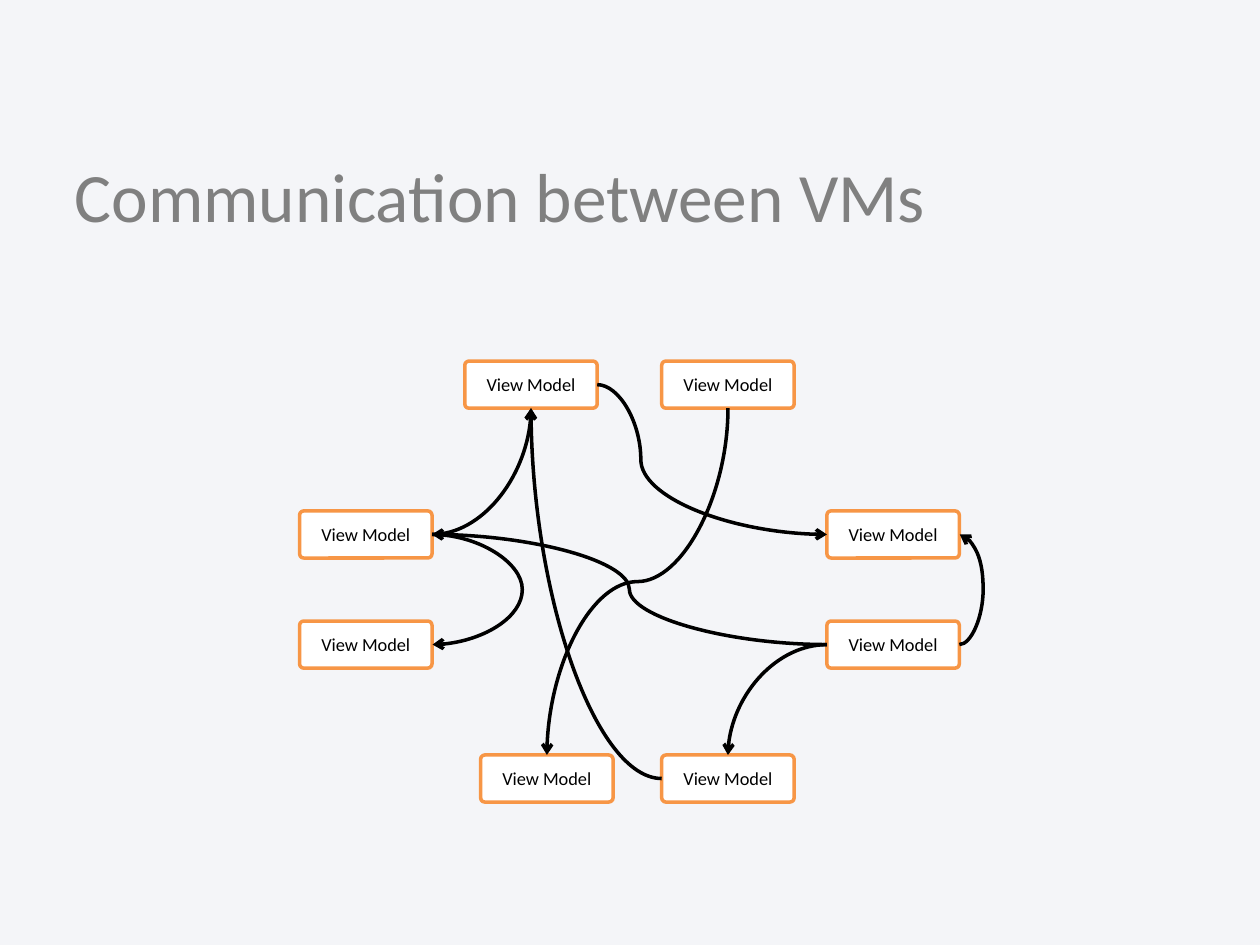
import pptx
import pptx.dml.color
import pptx.enum.shapes
import pptx.enum.text
import pptx.oxml.ns
import pptx.util
from lxml import etree

Cm = pptx.util.Cm
Pt = pptx.util.Pt
PP_ALIGN = pptx.enum.text.PP_ALIGN

TITLE = "Communication between VMs"
LABEL = "View Model"
BOX_W, BOX_H = 2.67, 0.95
BOXES = {
    "left upper": (6.04, 10.3),
    "left lower": (6.04, 12.52),
    "bottom left": (9.69, 15.22),
    "bottom right": (13.34, 15.22),
    "right lower": (16.67, 12.52),
    "right upper": (16.67, 10.3),
    "top left": (9.37, 7.28),
    "top right": (13.34, 7.28),
}
TOP, LEFT, BOTTOM, RIGHT = range(4)
LINKS = [
    ("left upper", RIGHT, "top left", BOTTOM, {"bends": 2}),
    ("left upper", RIGHT, "left lower", RIGHT, {"reach": 1.82}),
    ("top right", BOTTOM, "bottom left", TOP, {"turned": True}),
    ("top left", RIGHT, "right upper", LEFT, {"bend_at": 0.19}),
    ("right lower", LEFT, "bottom right", TOP, {"bends": 2}),
    ("bottom right", LEFT, "top left", BOTTOM, {"bends": 2}),
    ("right lower", RIGHT, "right upper", RIGHT, {"reach": 0.48}),
    ("right lower", LEFT, "left upper", RIGHT, {}),
]


def rgb(code):
    return pptx.dml.color.RGBColor.from_string(code)


def write(tf, text, size, color, align=PP_ALIGN.LEFT, font="Calibri"):
    tf.word_wrap = True
    tf.vertical_anchor = pptx.enum.text.MSO_ANCHOR.MIDDLE
    p = tf.paragraphs[0]
    p.alignment = align
    r = p.add_run()
    r.text = text
    r.font.name, r.font.size, r.font.color.rgb = font, Pt(size), rgb(color)


def add_box(s, left, top):
    sp = s.shapes.add_shape(pptx.enum.shapes.MSO_SHAPE.ROUNDED_RECTANGLE,
                            Cm(left), Cm(top), Cm(BOX_W), Cm(BOX_H))
    sp.adjustments[0] = 0.09
    sp.shadow.inherit = False
    sp.fill.solid()
    sp.fill.fore_color.rgb = rgb("FFFFFF")
    sp.line.color.rgb = rgb("F79646")
    sp.line.width = Pt(2)
    tf = sp.text_frame
    tf.margin_left = tf.margin_right = Cm(0.18)
    tf.margin_top = tf.margin_bottom = Cm(0.1)
    write(tf, LABEL, 10.5, "000000", PP_ALIGN.CENTER)
    return sp


def add_link(s, start, start_site, end, end_site,
             bends=3, bend_at=0.5, reach=None, turned=False):
    cxn = s.shapes.add_connector(pptx.enum.shapes.MSO_CONNECTOR.CURVE, 0, 0, 0, 0)
    cxn.begin_connect(start, start_site)
    cxn.end_connect(end, end_site)
    cxn.line.color.rgb = rgb("000000")
    cxn.line.width = Pt(2)
    sppr = cxn._element.spPr
    qn = pptx.oxml.ns.qn
    xfrm = sppr.find(qn("a:xfrm"))
    if reach or turned:
        xfrm.attrib.pop("flipH", None)
    if reach:
        cxn.width = Cm(0.01)
        bend_at = reach / 0.01
    if turned:
        w, h = cxn.width, cxn.height
        cxn.left, cxn.top = cxn.left + (w - h) // 2, cxn.top + (h - w) // 2
        cxn.width, cxn.height = h, w
        xfrm.set("rot", "5400000")
    geom = sppr.find(qn("a:prstGeom"))
    geom.set("prst", f"curvedConnector{bends}")
    if bends == 3:
        etree.SubElement(geom.find(qn("a:avLst")), qn("a:gd"),
                         name="adj1", fmla=f"val {round(bend_at * 100000)}")
    etree.SubElement(sppr.find(qn("a:ln")), qn("a:tailEnd"), type="arrow")
    etree.SubElement(sppr, qn("a:effectLst"))


def main():
    """Build the slide on communication between view models."""
    prs = pptx.Presentation()
    prs.slide_width, prs.slide_height = Cm(25.4), Cm(19.05)
    s = prs.slides.add_slide(prs.slide_layouts[5])
    s.background.fill.solid()
    s.background.fill.fore_color.rgb = rgb("F4F5F8")
    title = s.shapes.title
    title.left, title.top, title.width, title.height = Cm(1.25), Cm(2.92), Cm(22.86), Cm(2)
    write(title.text_frame, TITLE, 39.6, "808080")
    boxes = {name: add_box(s, *place) for name, place in BOXES.items()}
    for start, start_site, end, end_site, route in LINKS:
        add_link(s, boxes[start], start_site, boxes[end], end_site, **route)
    prs.save("out.pptx")


if __name__ == "__main__":
    main()
